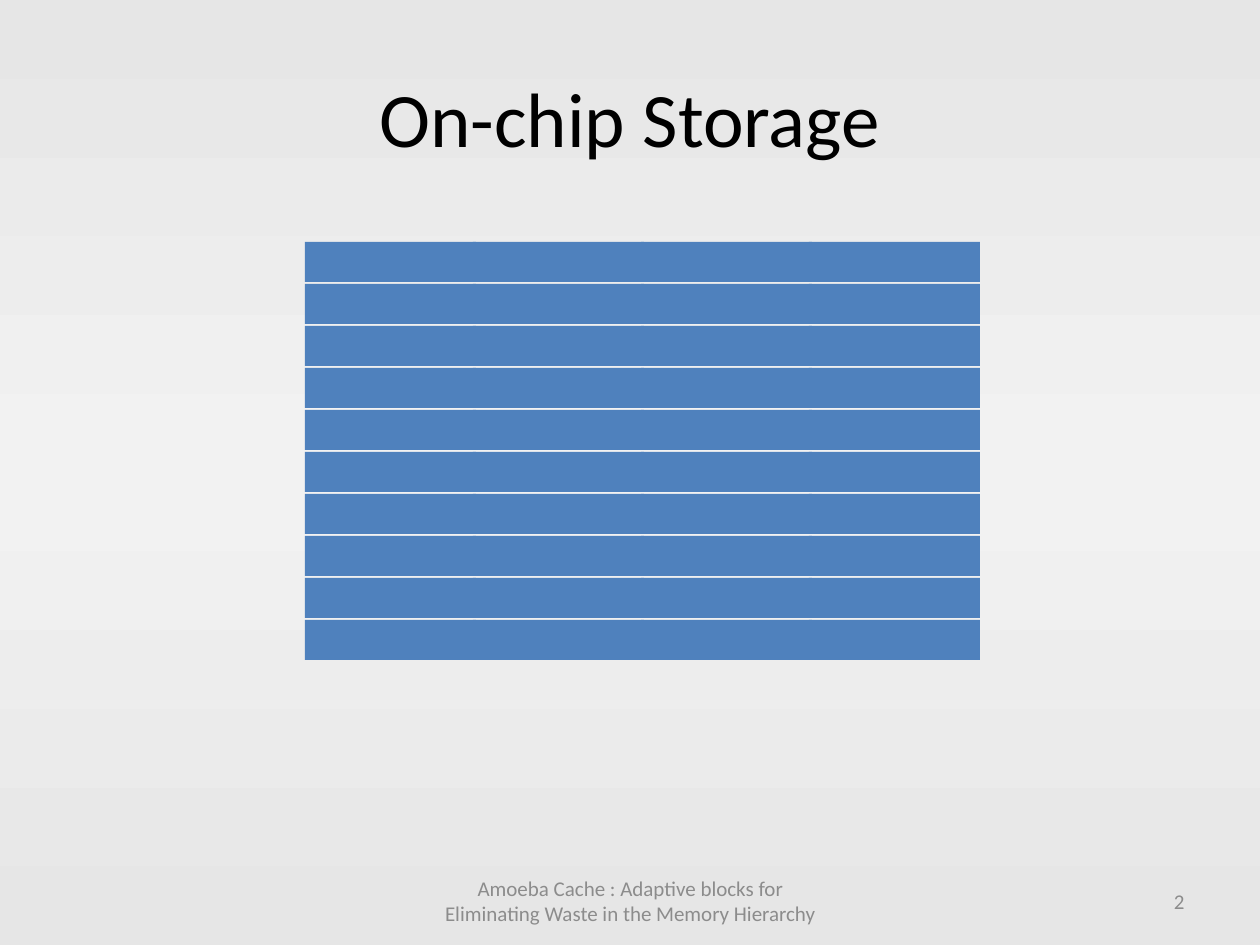
"""Build the On-chip Storage slide: a grid of memory words between a title and a footer."""
from copy import deepcopy
from dataclasses import dataclass
from itertools import product

from pptx import Presentation, util as u
from pptx.dml.color import RGBColor
from pptx.enum import shapes, text
from pptx.oxml.ns import qn

PX = 914400 / 126
COLUMNS, ROWS = 4, 10
GRID_LEFT, GRID_TOP = 305, 242
COLUMN_STEP, ROW_STEP = 168, 42
WORD_WIDTH, WORD_HEIGHT = 171, 40
WORD_COLOUR = "4F81BD"
FOOTER_COLOUR = "8C8C8C"
BACKGROUND_STOPS = ((0, "E6E6E6"), (0.5, "F2F2F2"), (1, "E6E6E6"))


@dataclass(frozen=True)
class Label:
    wording: str
    box: tuple[int, int, int, int]
    size: int
    colour: str
    align: text.PP_ALIGN


LABELS = (
    Label("On-chip Storage", (63, 38, 1134, 157), 44, "000000", text.PP_ALIGN.CENTER),
    Label("Amoeba Cache : Adaptive blocks for Eliminating Waste in the Memory Hierarchy",
          (431, 876, 399, 50), 12, FOOTER_COLOUR, text.PP_ALIGN.CENTER),
    Label("2", (903, 876, 294, 50), 12, FOOTER_COLOUR, text.PP_ALIGN.RIGHT),
)


def px(*lengths: int) -> list[u.Emu]:
    return [u.Emu(round(length * PX)) for length in lengths]


def colour(value: str) -> RGBColor:
    return RGBColor.from_string(value)


def apply(target, formats: dict) -> None:
    for name, value in formats.items():
        setattr(target, name, value)


def paint_background(slide) -> None:
    fill = slide.background.fill
    fill.gradient()
    fill.gradient_angle = 270
    stop_list = slide.element.find(".//" + qn("a:gsLst"))
    stop_list.insert(1, deepcopy(stop_list[0]))
    for stop, (position, value) in zip(fill.gradient_stops, BACKGROUND_STOPS):
        stop.position = position
        stop.color.rgb = colour(value)


def draw_label(slide, label: Label) -> None:
    frame = slide.shapes.add_textbox(*px(*label.box)).text_frame
    apply(frame, {"word_wrap": True, "vertical_anchor": text.MSO_ANCHOR.MIDDLE})
    paragraph = frame.paragraphs[0]
    paragraph.alignment = label.align
    run = paragraph.add_run()
    run.text = label.wording
    apply(run.font, {"name": "Calibri", "size": u.Pt(label.size)})
    run.font.color.rgb = colour(label.colour)


def draw_word(slide, row: int, column: int) -> None:
    box = px(GRID_LEFT + column * COLUMN_STEP, GRID_TOP + row * ROW_STEP,
             WORD_WIDTH, WORD_HEIGHT)
    word = slide.shapes.add_shape(shapes.MSO_SHAPE.RECTANGLE, *box)
    word.shadow.inherit = False
    word.fill.solid()
    word.fill.fore_color.rgb = colour(WORD_COLOUR)
    word.line.fill.background()


def main() -> None:
    deck = Presentation()
    deck.slide_width, deck.slide_height = px(1260, 945)
    slide = deck.slides.add_slide(deck.slide_layouts[6])
    paint_background(slide)
    for label in LABELS:
        draw_label(slide, label)
    for row, column in product(range(ROWS), range(COLUMNS)):
        draw_word(slide, row, column)
    deck.save("out.pptx")


if __name__ == "__main__":
    main()
